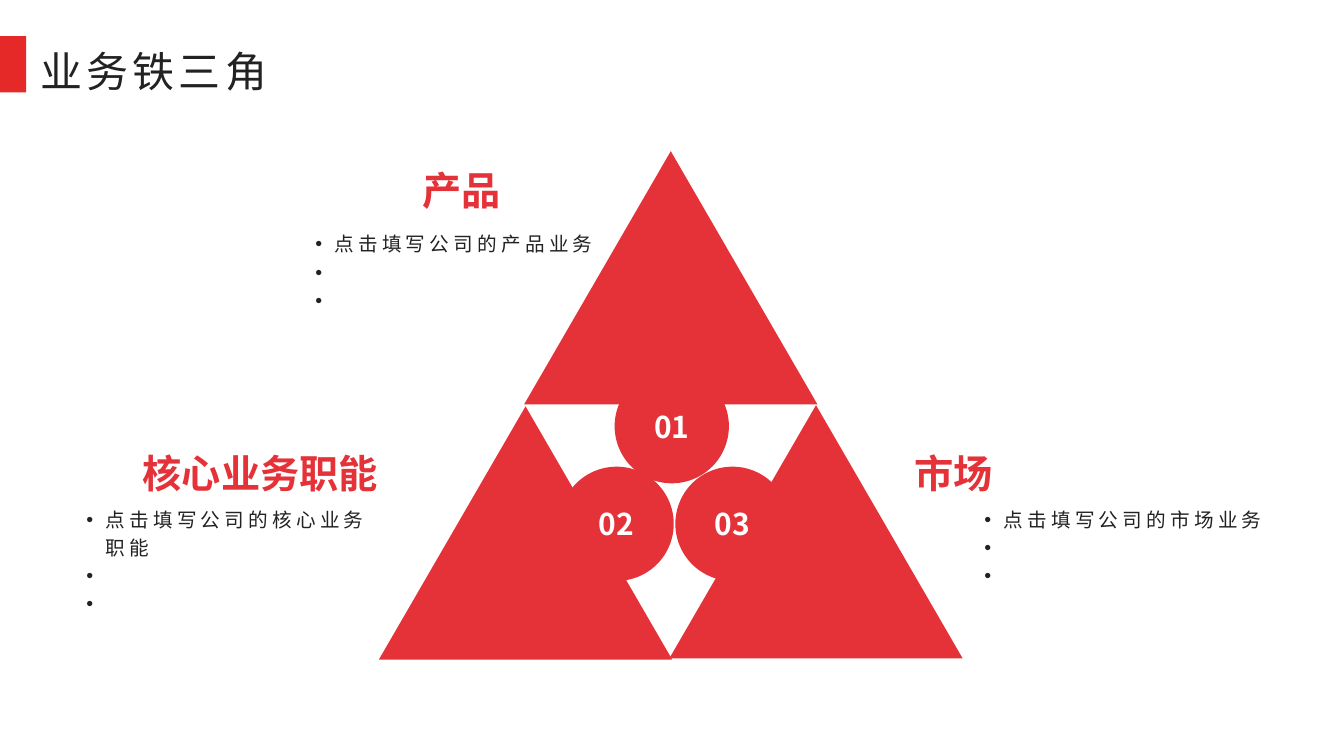
from lxml.etree import SubElement
from pptx import Presentation
from pptx.dml.color import RGBColor
from pptx.enum.shapes import MSO_SHAPE
from pptx.enum.text import MSO_ANCHOR, MSO_AUTO_SIZE, PP_ALIGN
from pptx.oxml.ns import qn
from pptx.util import Cm, Pt

RED, BAR_RED, INK, WHITE = "E53238", "E52828", "222222", "FFFFFF"


def color(hex_string):
    return RGBColor.from_string(hex_string)


class TriangleSlide:
    font_name = "Noto Sans CJK SC"

    def __init__(self, slide):
        self.slide = slide

    def shape(self, preset, left, top, width, height, fill=RED):
        shape = self.slide.shapes.add_shape(
            preset, Cm(left), Cm(top), Cm(width), Cm(height))
        shape.shadow.inherit = False
        shape.fill.solid()
        shape.fill.fore_color.rgb = color(fill)
        shape.line.fill.background()
        return shape

    def style(self, paragraph, size, ink, bold=False, spacing=0):
        for run in paragraph.runs:
            run.font.size = Pt(size)
            run.font.bold = bold
            run.font.color.rgb = color(ink)
            run.font.name = self.font_name
            properties = run.font._element
            SubElement(properties, qn("a:ea"), typeface=self.font_name)
            if spacing:
                properties.set("spc", str(spacing * 100))

    def text(self, text, left, top, width, height, inset=None, wrap=True):
        box = self.slide.shapes.add_textbox(
            Cm(left), Cm(top), Cm(width), Cm(height))
        frame = box.text_frame
        frame.word_wrap = wrap
        frame.auto_size = MSO_AUTO_SIZE.SHAPE_TO_FIT_TEXT
        if inset is not None:
            frame.margin_left = frame.margin_right = Cm(inset)
            frame.margin_top = frame.margin_bottom = Cm(inset)
        frame.text = text
        return frame

    def title(self, text):
        self.shape(MSO_SHAPE.RECTANGLE, 0, 0.91, 0.66, 1.42, BAR_RED)
        frame = self.text(text, 0.89, 0.76, 8.94, 1.7, inset=0.13)
        frame.paragraphs[0].line_spacing = 1.2
        self.style(frame.paragraphs[0], 30, INK, spacing=3)

    def heading(self, text, left, top):
        frame = self.text(text, left, top, len(text), 1.19, inset=0, wrap=False)
        frame.vertical_anchor = MSO_ANCHOR.BOTTOM
        frame.paragraphs[0].alignment = PP_ALIGN.CENTER
        self.style(frame.paragraphs[0], 28, RED, bold=True)

    def bullets(self, items, left, top, height):
        frame = self.text("\n".join(items), left, top, 7.87, height)
        for paragraph in frame.paragraphs:
            properties = paragraph._p.get_or_add_pPr()
            properties.set("marL", str(Cm(0.48)))
            properties.set("indent", str(-Cm(0.48)))
            SubElement(properties, qn("a:buFont"), typeface="Arial")
            SubElement(properties, qn("a:buChar"), char="•")
            paragraph.line_spacing = 1.2
            self.style(paragraph, 14, INK, spacing=3)

    def number(self, text, left, top):
        ring, core = 2.88, 2.21
        inset = (ring - core) / 2
        self.shape(MSO_SHAPE.OVAL, left, top, ring, ring)
        disc = self.shape(MSO_SHAPE.OVAL, left + inset, top + inset, core, core)
        frame = disc.text_frame
        frame.text = text
        frame.vertical_anchor = MSO_ANCHOR.MIDDLE
        frame.paragraphs[0].alignment = PP_ALIGN.CENTER
        self.style(frame.paragraphs[0], 21.4, WHITE, bold=True)


def main():
    deck = Presentation()
    deck.slide_width, deck.slide_height = Cm(33.87), Cm(19.05)
    page = TriangleSlide(deck.slides.add_slide(deck.slide_layouts[6]))

    # Title with its red bar
    page.title("业务铁三角")

    # Three triangles: top, lower left, lower right
    for left, top in [(13.21, 3.81), (9.55, 10.24), (16.87, 10.21)]:
        page.shape(MSO_SHAPE.ISOSCELES_TRIANGLE, left, top, 7.39, 6.38)

    # Numbered discs in the centre
    for number, left, top in [("01", 15.49, 9.3), ("02", 14.1, 11.76),
                              ("03", 17.02, 11.76)]:
        page.number(number, left, top)

    # Heading and bullets of each corner; two bullets are left to fill in
    corners = [
        ("产品", (10.64, 4.19), "点击填写公司的产品业务", (7.7, 5.61, 2.36)),
        ("核心业务职能", (3.56, 11.33), "点击填写公司的核心业务职能",
         (1.93, 12.55, 3.07)),
        ("市场", (23.04, 11.33), "点击填写公司的市场业务", (24.56, 12.55, 2.36)),
    ]
    for heading, heading_place, prompt, bullets_place in corners:
        page.heading(heading, *heading_place)
        page.bullets([prompt, " ", " "], *bullets_place)

    deck.save("out.pptx")


if __name__ == "__main__":
    main()
